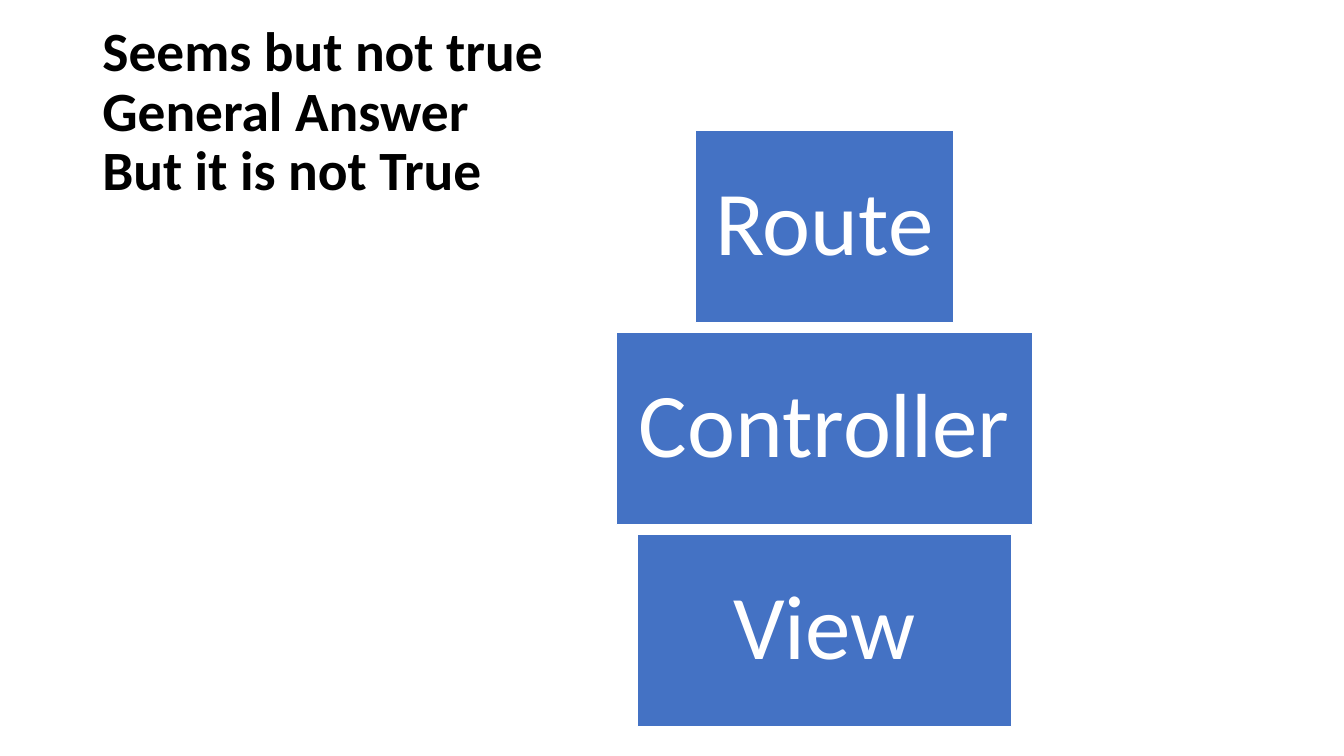
from dataclasses import dataclass

from pptx import Presentation
from pptx.dml.color import RGBColor
from pptx.enum.shapes import MSO_SHAPE as Shape
from pptx.enum.text import MSO_ANCHOR as Anchor, PP_ALIGN as Align
from pptx.util import Cm, Pt

BLACK = RGBColor(0x00, 0x00, 0x00)
WHITE = RGBColor(0xFF, 0xFF, 0xFF)
BLUE = RGBColor(0x44, 0x72, 0xC4)

MIDDLE = 20.78
TOP = 3.28
HEIGHT = 4.85
STEP = 5.09


@dataclass
class Layer:
    name: str
    width: float


LAYERS = [Layer("Route", 6.5), Layer("Controller", 10.49), Layer("View", 9.42)]
TITLE = "Seems but not true\vGeneral Answer\vBut it is not True"


def write(frame, text: str, align: Align, size: float, color: RGBColor,
          bold: bool = False) -> None:
    frame.vertical_anchor = Anchor.MIDDLE
    line = frame.paragraphs[0]
    line.text = text
    line.alignment = align
    line.line_spacing = 0.9
    look = {"name": "Calibri", "size": Pt(size), "bold": bold}
    for key, value in look.items():
        setattr(line.font, key, value)
    line.font.color.rgb = color


def add_title(slide) -> None:
    box = slide.shapes.add_textbox(Cm(2.33), Cm(1.01), Cm(29.21), Cm(3.68))
    box.text_frame.word_wrap = True
    write(box.text_frame, TITLE, Align.LEFT, 39.6, BLACK, bold=True)


def add_layer(slide, layer: Layer, row: int) -> None:
    box = slide.shapes.add_shape(
        Shape.RECTANGLE, Cm(MIDDLE - layer.width / 2), Cm(TOP + row * STEP),
        Cm(layer.width), Cm(HEIGHT))
    box.shadow.inherit = False
    box.fill.solid()
    box.fill.fore_color.rgb = BLUE
    box.line.color.rgb = WHITE
    box.line.width = Pt(1)
    frame = box.text_frame
    frame.word_wrap = False
    for side in ("left", "top", "right", "bottom"):
        setattr(frame, f"margin_{side}", Cm(0.46))
    write(frame, layer.name, Align.CENTER, 65, WHITE)


def main() -> None:
    deck = Presentation()
    deck.slide_width, deck.slide_height = Cm(33.87), Cm(19.05)
    slide = deck.slides.add_slide(deck.slide_layouts[6])
    add_title(slide)
    for row, layer in enumerate(LAYERS):
        add_layer(slide, layer, row)
    deck.save("out.pptx")


if __name__ == "__main__":
    main()
